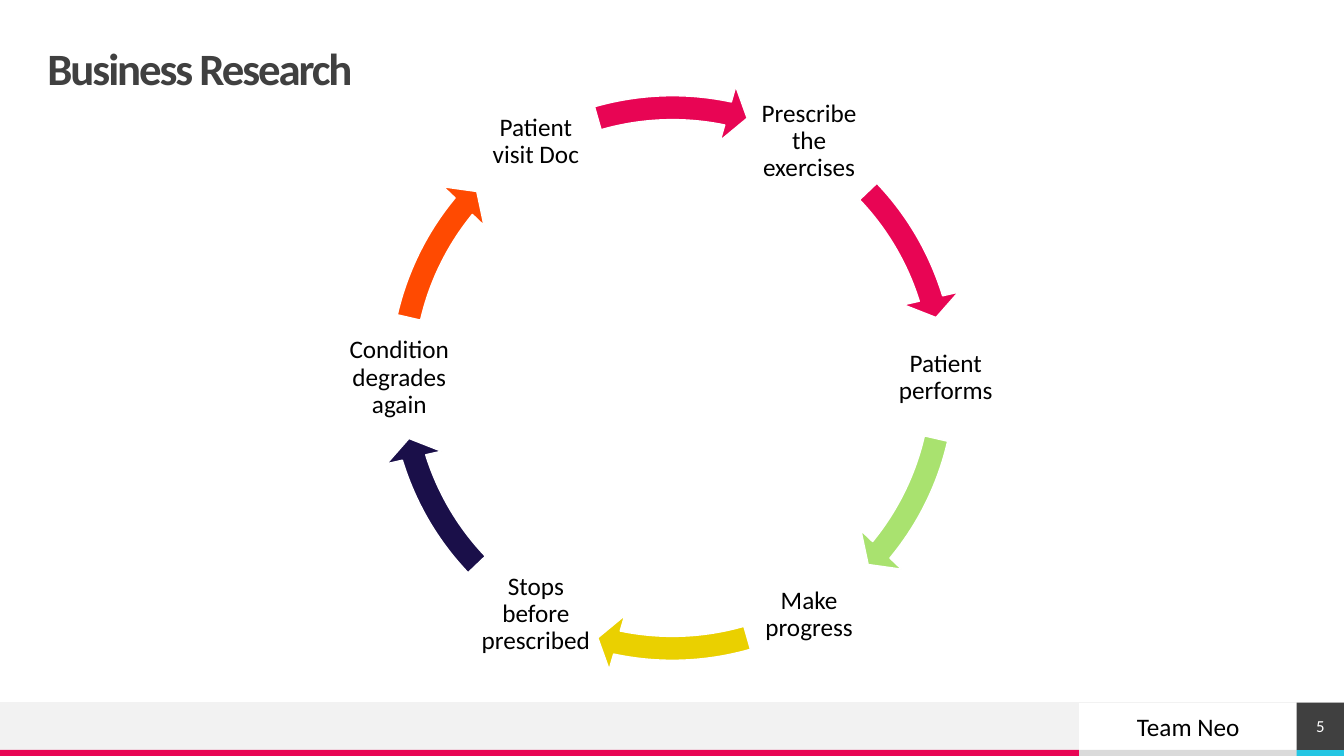
from math import cos, radians, sin

from lxml.etree import SubElement
from pptx import Presentation
from pptx.dml.color import RGBColor
from pptx.enum.shapes import MSO_CONNECTOR, MSO_SHAPE
from pptx.enum.text import MSO_ANCHOR, PP_ALIGN
from pptx.oxml.ns import qn
from pptx.util import Inches, Pt

COLORS = {
    "white": "FFFFFF", "black": "000000", "dark": "404040",
    "light": "F2F2F2", "gray": "DADADA", "pink": "E80554",
    "cyan": "25C6E3", "green": "A9E26F", "yellow": "EAD000",
    "navy": "1A0F49", "orange": "FF4A01",
}

deck = Presentation()
deck.slide_width, deck.slide_height = Inches(13.33), Inches(7.5)
page = deck.slides.add_slide(deck.slide_layouts[6])


def add_block(preset, left, top, width, height, color):
    block = page.shapes.add_shape(
        preset, Inches(left), Inches(top), Inches(width), Inches(height))
    block.shadow.inherit = False
    block.fill.solid()
    block.fill.fore_color.rgb = RGBColor.from_string(COLORS[color])
    block.line.fill.background()
    return block


def write(box, text, size=18, color="black", bold=False, align=PP_ALIGN.CENTER,
          inset=0, line_spacing=1.0, tracking=0):
    frame = box.text_frame
    frame.word_wrap = True
    frame.vertical_anchor = MSO_ANCHOR.MIDDLE
    frame.margin_left = frame.margin_right = Inches(inset)
    frame.margin_top = frame.margin_bottom = Inches(inset)
    para = frame.paragraphs[0]
    para.alignment = align
    para.line_spacing = line_spacing
    span = para.add_run()
    span.text = text
    span.font.name = "Calibri"
    span.font.size = Pt(size)
    span.font.bold = bold
    span.font.color.rgb = RGBColor.from_string(COLORS[color])
    if tracking:
        span.font._element.set("spc", str(int(tracking * 100)))


# Footer bars: left, top, width, height, color
team_box = add_block(MSO_SHAPE.RECTANGLE, 10.7, 6.97, 2.17, 0.47, "white")
write(team_box, "Team Neo", inset=0.05)
for left, top, width, height, color in [
    (10.7, 7.44, 2.17, 0.06, "gray"),
    (0, 6.97, 10.7, 0.47, "light"),
    (0, 7.44, 10.7, 0.06, "pink"),
    (12.86, 7.44, 0.47, 0.06, "cyan"),
]:
    add_block(MSO_SHAPE.RECTANGLE, left, top, width, height, color)

footer_rule = page.shapes.add_connector(
    MSO_CONNECTOR.STRAIGHT, Inches(13.33), Inches(6.97), Inches(0), Inches(6.97))
footer_rule.line.color.rgb = RGBColor.from_string(COLORS["light"])
footer_rule.line.width = Pt(0.5)
SubElement(footer_rule._element.spPr, qn("a:effectLst"))

# Title and page number
title_box = page.shapes.add_textbox(
    Inches(0.47), Inches(0.47), Inches(12.39), Inches(0.47))
write(title_box, "Business Research", size=32, color="dark", bold=True,
      align=PP_ALIGN.LEFT, line_spacing=0.9, tracking=-1.5)
number_box = add_block(MSO_SHAPE.RECTANGLE, 12.86, 6.97, 0.47, 0.47, "dark")
write(number_box, "5", size=12, color="white")

# Cycle: six labels on a ring, each followed by an arrow to the next
CENTER_X, CENTER_Y = 6.67, 3.75
RING_RADIUS, LABEL_SIZE, ARROW_SIZE = 2.71, 1.21, 5.92
ARROW_SPANS = [(316.38, 342.9), (12.94, 39.46), (73.97, 101.86)]
UNITS_PER_DEGREE = 0.6  # 60000 angle units, scaled by 100000

steps = [
    ("Prescribe the exercises", "pink"),
    ("Patient performs", "green"),
    ("Make progress", "yellow"),
    ("Stops before prescribed", "navy"),
    ("Condition degrades again", "orange"),
    ("Patient visit Doc", "pink"),
]
for index, (label, color) in enumerate(steps):
    angle = radians(60 * (index - 1))
    label_box = page.shapes.add_textbox(
        Inches(CENTER_X + RING_RADIUS * cos(angle) - LABEL_SIZE / 2),
        Inches(CENTER_Y + RING_RADIUS * sin(angle) - LABEL_SIZE / 2),
        Inches(LABEL_SIZE), Inches(LABEL_SIZE))
    write(label_box, label, inset=0.03, line_spacing=0.9)

    arrow = add_block(
        MSO_SHAPE.CIRCULAR_ARROW, CENTER_X - ARROW_SIZE / 2,
        CENTER_Y - ARROW_SIZE / 2, ARROW_SIZE, ARROW_SIZE, color)
    arrow.line.color.rgb = RGBColor.from_string(COLORS["white"])
    arrow.line.width = Pt(1)
    # The second half of the ring repeats the first, turned by 180 degrees
    start, end = [(bearing + 180 * (index // 3)) % 360
                  for bearing in ARROW_SPANS[index % 3]]
    settings = [0.04, 4.17 * UNITS_PER_DEGREE, end * UNITS_PER_DEGREE,
                start * UNITS_PER_DEGREE, 0.047]
    for position, value in enumerate(settings):
        arrow.adjustments[position] = value

deck.save("out.pptx")
